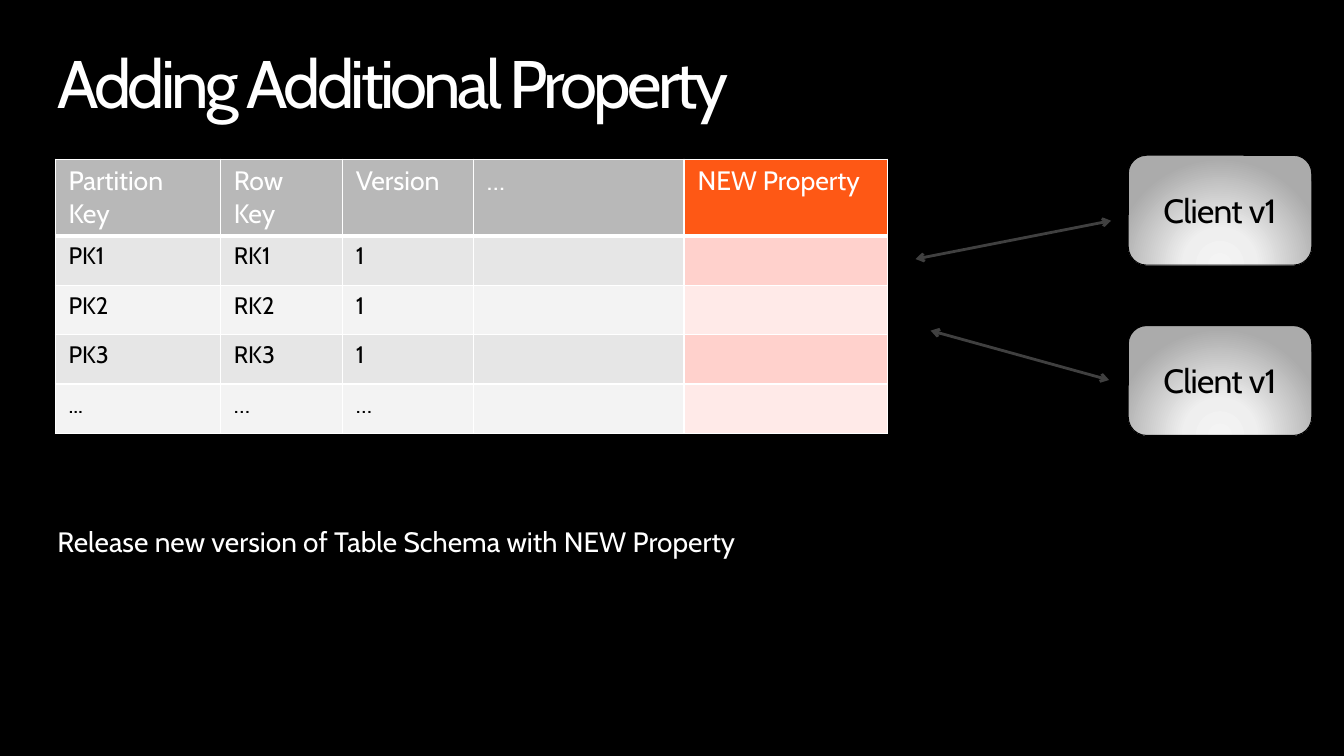
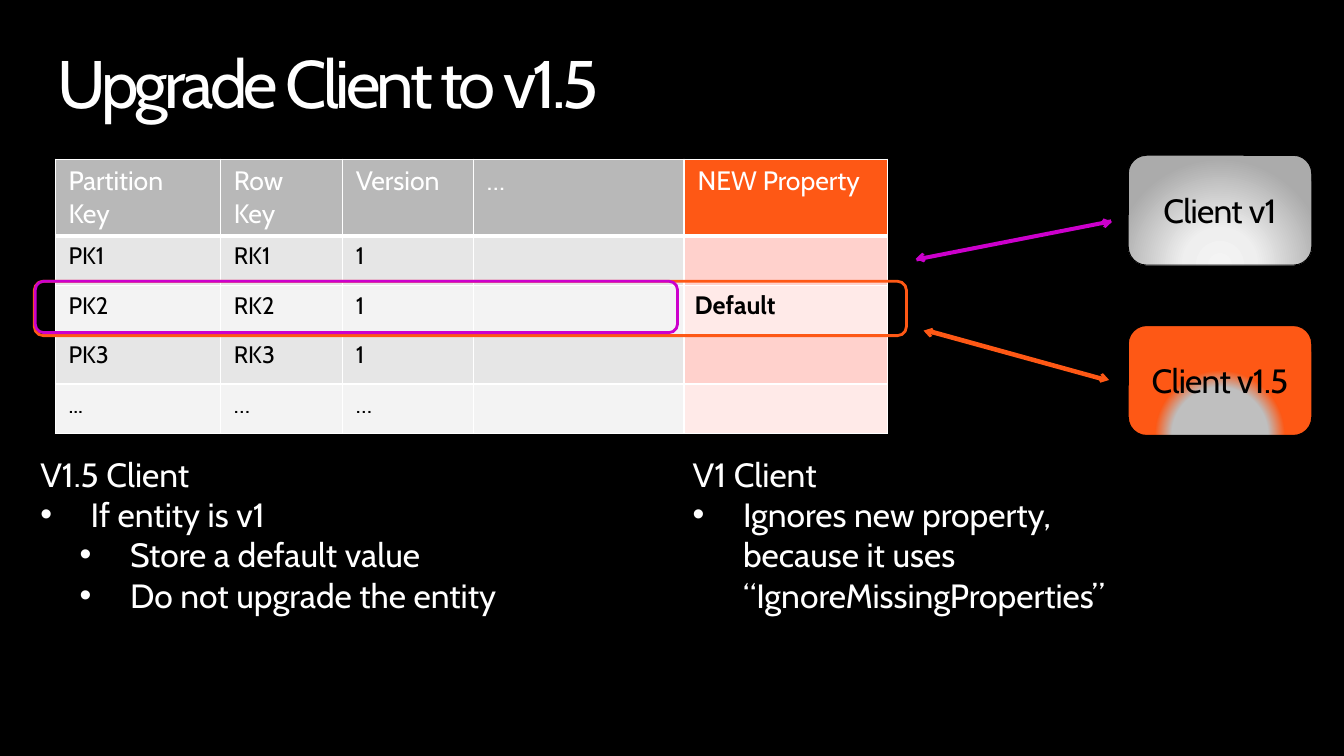
from lxml import etree
from pptx import Presentation
from pptx import util as u
from pptx.dml import color
from pptx.enum import shapes, text
from pptx.oxml import ns

FONT = "Cabin"
WHITE, BLACK, ORANGE, PURPLE, GREY = "FFFFFF", "000000", "FE5815", "CC00CC", "404040"
SILVER = [(0, "F4F4F4"), (34, "EFEFEF"), (100, "ABABAB")]
FLAME = [(45, "BFBFBF"), (61, ORANGE)]
LEFT = text.PP_ALIGN.LEFT
HEADS = ["Partition Key", "Row Key", "Version", "…"]
ROWS = [
    ["PK1", "RK1", "1", ""],
    ["PK2", "RK2", "1", ""],
    ["PK3", "RK3", "1", ""],
    ["...", "…", "…", ""],
]


def rgb(code):
    return color.RGBColor.from_string(code)


def put(obj, **vals):
    for key, val in vals.items():
        setattr(obj, key, val)


def box(*sides):
    return [u.Inches(side) for side in sides]


def place(shape, *sides):
    put(shape, **dict(zip(("left", "top", "width", "height"), box(*sides))))


def node(parent, tag, **attrs):
    return etree.SubElement(parent, ns.qn("a:" + tag), attrs)


def paint(fill, code):
    fill.solid()
    fill.fore_color.rgb = rgb(code)


def write(par, words, size, code, bold=False, space=0, align=LEFT):
    par.text = words
    put(par, alignment=align, space_before=u.Pt(0))
    for run in par.runs:
        put(run.font, name=FONT, size=u.Pt(size), bold=bold)
        run.font.color.rgb = rgb(code)
        if space:
            run._r.get_or_add_rPr().set("spc", str(round(space * 100)))
    for gap in par._p.findall(ns.qn("a:br")):
        node(gap, "rPr", sz=str(size * 100))


def frame(shape, wrap=True):
    put(shape.text_frame, margin_left=0, margin_top=0, margin_right=0, margin_bottom=0,
        word_wrap=wrap, auto_size=text.MSO_AUTO_SIZE.NONE,
        vertical_anchor=text.MSO_ANCHOR.TOP)
    return shape.text_frame


def title(slide, words):
    head = slide.shapes.title
    place(head, 0.57, 0.5, 12.19, 0.73)
    par = frame(head).paragraphs[0]
    write(par, words, 48, WHITE, space=-2.7)
    par.line_spacing = 0.9


def body(shape, sides, items, size):
    place(shape, *sides)
    area = frame(shape)
    for num, (level, words) in enumerate(items):
        par = area.add_paragraph() if num else area.paragraphs[0]
        write(par, words, size, WHITE)
        par.level = max(level - 1, 0)
        props = par._p.get_or_add_pPr()
        left, hang = [(0, 0), (0.5, -0.5), (0.89, -0.5)][level]
        props.set("marL", str(u.Inches(left)))
        props.set("indent", str(u.Inches(hang)))
        if level:
            node(props, "buChar", char="•")
        else:
            node(props, "buNone")


def edge(cell, base):
    props = cell._tc.get_or_add_tcPr()
    for num, (side, width) in enumerate(zip("LRTB", (1, 1, 1, base))):
        line = node(props, "ln" + side, w=str(u.Pt(width)))
        node(node(line, "solidFill"), "srgbClr", val=WHITE)
        props.insert(num, line)


def table(slide, left, widths, rows, tones):
    top, *bands = tones
    sides = box(left, 1.58, sum(widths), 2.72)
    grid = slide.shapes.add_table(len(rows), len(widths), *sides).table
    put(grid, first_row=False, horz_banding=False)
    for col, width in zip(grid.columns, widths):
        col.width = u.Inches(width)
    for num, (row, words) in enumerate(zip(grid.rows, rows)):
        row.height = u.Inches(0.49 if num else 0.76)
        for cell, word in zip(row.cells, words):
            paint(cell.fill, bands[(num - 1) % 2] if num else top)
            edge(cell, 1 if num else 3)
            put(cell, margin_left=u.Inches(0.13), margin_right=u.Inches(0.13),
                margin_top=u.Inches(0.06), margin_bottom=u.Inches(0.06))
            size, ink = (17, BLACK) if num else (19, WHITE)
            write(cell.text_frame.paragraphs[0], word, size, ink)


def round_box(slide, sides, line, width):
    shape = slide.shapes.add_shape(shapes.MSO_SHAPE.ROUNDED_RECTANGLE, *box(*sides))
    shape.shadow.inherit = False
    shape.fill.background()
    paint(shape.line.fill, line)
    shape.line.width = u.Pt(width)
    return shape


def client(slide, top, words, stops):
    shape = round_box(slide, (11.19, top, 1.82, 1.09), BLACK, 0.75)
    props = shape._element.spPr
    glow = etree.Element(ns.qn("a:gradFill"), rotWithShape="1")
    tones = node(glow, "gsLst")
    for spot, code in stops:
        node(node(tones, "gs", pos=str(spot * 1000)), "srgbClr", val=code)
    node(node(glow, "path", path="circle"), "fillToRect",
         l="50000", t="155000", r="50000", b="-55000")
    props.replace(props.find(ns.qn("a:noFill")), glow)
    shape.text_frame.vertical_anchor = text.MSO_ANCHOR.MIDDLE
    write(shape.text_frame.paragraphs[0], words, 24, BLACK,
          space=-0.5, align=text.PP_ALIGN.CENTER)


def arrow(slide, ends, code, tips=("headEnd", "tailEnd")):
    link = slide.shapes.add_connector(shapes.MSO_CONNECTOR.STRAIGHT, *box(*ends))
    paint(link.line.fill, code)
    link.line.width = u.Pt(2)
    props = link._element.spPr
    for tip in tips:
        node(props.find(ns.qn("a:ln")), tip, type="arrow")
    node(props, "effectLst")


def schema(deck, layout, words, label, stops):
    slide = deck.slides.add_slide(deck.slide_layouts[layout])
    title(slide, words)
    table(slide, 0.55, [1.64, 1.21, 1.3, 2.08], [HEADS] + ROWS,
          ["B8B8B8", "E6E6E6", "F3F3F3"])
    table(slide, 6.79, [2.01], [["NEW Property"]] + [[""]] * len(ROWS),
          [ORANGE, "FFD1CC", "FFEAE8"])
    client(slide, 1.54, "Client v1", SILVER)
    client(slide, 3.23, label, stops)
    return slide


def adding(deck):
    slide = schema(deck, 1, "Adding Additional Property", "Client v1", SILVER)
    body(slide.placeholders[1], (0.57, 5.2, 11.02, 0.34),
         [(0, "Release new version of Table Schema with NEW Property")], 20)
    arrow(slide, (9.08, 2.57, 11.02, 2.19), GREY)
    arrow(slide, (9.23, 3.28, 11, 3.77), GREY)


def upgrade(deck):
    slide = schema(deck, 3, "Upgrade Client to v1.5", "Client v1.5", FLAME)
    body(slide.placeholders[1], (0.4, 4.5, 6.32, 1.62), [
        (0, "V1.5 Client"),
        (1, "If entity is v1"),
        (2, "Store a default value"),
        (2, "Do not upgrade the entity"),
    ], 24)
    body(slide.placeholders[2], (6.87, 4.5, 6.15, 1.62), [
        (0, "V1 Client"),
        (1, "Ignores new property,\vbecause it uses “IgnoreMissingProperties”"),
    ], 24)
    round_box(slide, (0.34, 2.79, 8.65, 0.54), ORANGE, 2)
    round_box(slide, (0.35, 2.79, 6.37, 0.51), PURPLE, 2)
    arrow(slide, (9.23, 3.28, 11, 3.77), ORANGE, ["tailEnd"])
    arrow(slide, (9.16, 3.28, 10.94, 3.77), ORANGE, ["headEnd"])
    arrow(slide, (9.09, 2.58, 11.03, 2.2), PURPLE, ["tailEnd"])
    arrow(slide, (9.08, 2.57, 11.02, 2.19), PURPLE, ["headEnd"])
    note = slide.shapes.add_textbox(*box(6.89, 2.87, 0.88, 0.3))
    write(frame(note, False).paragraphs[0], "Default", 18, BLACK, bold=True)


def main():
    deck = Presentation()
    put(deck, slide_width=u.Inches(13.33), slide_height=u.Inches(7.5))
    paint(deck.slide_master.background.fill, BLACK)
    adding(deck)
    upgrade(deck)
    deck.save("out.pptx")


if __name__ == "__main__":
    main()
